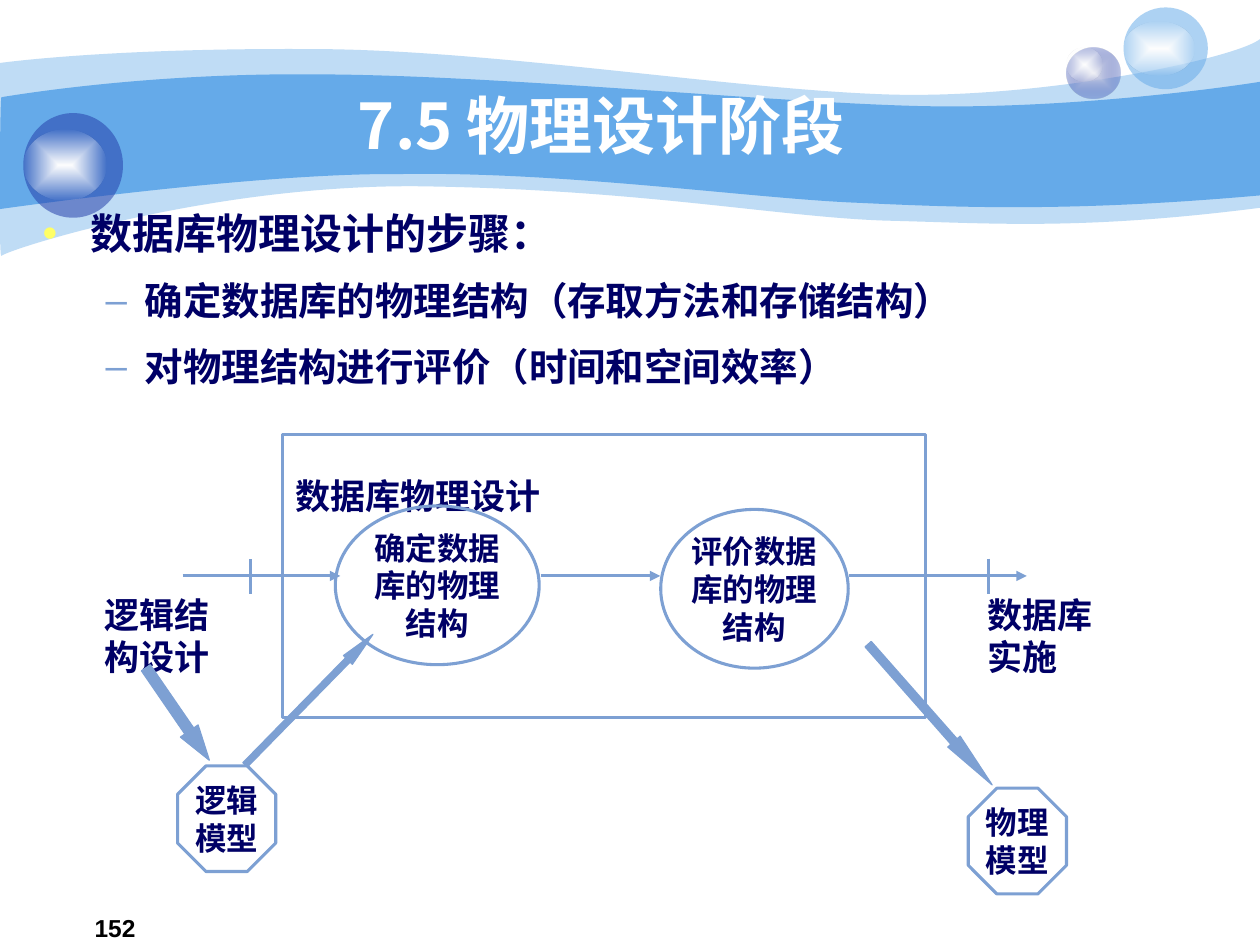
from lxml.etree import SubElement
from pptx import Presentation
from pptx.dml.color import RGBColor
from pptx.enum.shapes import MSO_CONNECTOR, MSO_SHAPE
from pptx.enum.text import MSO_ANCHOR, PP_ALIGN
from pptx.oxml.ns import qn
from pptx.util import Cm, Pt

NAVY, BLUE, SKY, DEEP, WHITE = "000066", "7DA0D3", "65AAE9", "233DA9", "FFFFFF"
SERIF = "Times New Roman"
MID, TOP = MSO_ANCHOR.MIDDLE, MSO_ANCHOR.TOP
CENTER, JUST, LEFT = PP_ALIGN.CENTER, PP_ALIGN.JUSTIFY, PP_ALIGN.LEFT

WAVES = [
    (41,
     [(0, 1.27), (0.61, 1.19), (2.72, 0.97), (6.27, 0.99), (9.8, 0.99), (14.6, 1.78),
      (17.75, 1.9), (20.88, 2.03), (24.89, 1.19), (25.4, 0.79)],
     [(25.4, 4.19), (21.79, 4.65), (19.99, 4.5), (17.91, 4.45), (15.8, 4.39), (13.08, 3.84),
      (8.71, 3.76), (4.37, 3.66), (0.1, 5.05), (0.03, 5.16), (-0.03, 5.28), (0, 1.9), (0, 1.27)]),
    (100,
     [(0.03, 1.96), (0.05, 1.96), (2.79, 1.47), (6.3, 1.5), (9.8, 1.5), (15.11, 2.03),
      (18.24, 2.13), (21.36, 2.24), (24.79, 1.75), (25.4, 1.65)],
     [(25.4, 3.94), (21.67, 4.27), (19.43, 4.19), (17.32, 4.09), (15.21, 4.01), (11.35, 3.45),
      (8.05, 3.51), (5.16, 3.48), (-0.05, 4.22), (-0.03, 4.22), (0, 4.22), (0, 1.96), (0.03, 1.96)]),
]
GLOSS = [(WHITE, 100), (WHITE, 0)]
BALLS = [
    ((21.51, 0.96, 1.07, 1.02), [("E1E2ED", 100), (DEEP, 31)]),
    ((21.51, 0.96, 0.71, 0.69), GLOSS),
    ((22.65, 0.15, 1.7, 1.65), [(SKY, 53)]),
    ((22.65, 0.43, 1.42, 1.09), GLOSS),
    ((0.47, 2.28, 2.01, 2.11), [(DEEP, 53)]),
    ((0.47, 2.62, 1.68, 1.42), GLOSS),
]
STEPS = [
    ("数据库物理设计的步骤：", 24, 0.97, 0.97, 0, "•", "FFFF66"),
    ("确定数据库的物理结构（存取方法和存储结构）", 22, 2.06, 0.79, 11, "–", BLUE),
    ("对物理结构进行评价（时间和空间效率）", 22, 2.06, 0.79, 11, "–", BLUE),
]
FRAME = (5.7, 8.76, 12.95, 5.7)
OVALS = [
    ((6.76, 10.2, 4.11, 3.2), ["确定数据库的物理结构"]),
    ((13.32, 10.27, 3.78, 3.2), ["评价数据库的物理结构"]),
]
MODELS = [
    ((19.52, 15.89, 1.98, 2.13), ["物理", "模型"]),
    ((3.58, 15.44, 1.98, 2.13), ["逻辑", "模型"]),
]
LABELS = [
    ((2.11, 11.96, 3.18, 1.07), ["逻辑结", "构设计"]),
    ((19.91, 11.96, 3.56, 1.07), ["数据库", "实施"]),
]
FLOW = 11.61
FLOWS = [(3.68, 6.86), (10.9, 13.31), (17.12, 20.7)]
TICKS = [(19.92, 11.26), (5.06, 11.27)]
ARROWS = [
    ((2.45, 14.18, 2.26, 0.43), 55.5, 1.66),
    ((16.86, 14.24, 3.78, 0.33), 48.6, 3.52),
    ((4.39, 13.98, 3.68, 0.25), 314.4, 2.87),
]


def tint(code):
    return RGBColor.from_string(code)


def tone(node, code, alpha):
    clr = SubElement(node, qn("a:srgbClr"), val=code)
    if alpha < 100:
        SubElement(clr, qn("a:alpha"), val=str(alpha * 1000))


def paint(shape, stops):
    shape.fill.background()
    node = shape._element.spPr.find(qn("a:noFill"))
    node.tag = qn("a:solidFill" if len(stops) == 1 else "a:gradFill")
    if len(stops) == 1:
        tone(node, *stops[0])
        return
    row = SubElement(node, qn("a:gsLst"))
    for i, stop in enumerate(stops):
        tone(SubElement(row, qn("a:gs"), pos=str(i * 100000)), *stop)
    way = SubElement(node, qn("a:path"), path="shape")
    SubElement(way, qn("a:fillToRect"), {side: "50000" for side in "ltrb"})


def bend(lines):
    for i in range(0, len(lines), 3):
        first, *rest = lines[i:i + 3]
        first.tag = qn("a:cubicBezTo")
        for line in rest:
            first.append(line[0])
            line.getparent().remove(line)


def wave(slide, alpha, top, base):
    pts = [(Cm(x), Cm(y)) for x, y in top + base]
    form = slide.shapes.build_freeform(*pts[0])
    form.add_line_segments(pts[1:], close=False)
    shape = form.convert_to_shape()
    lines = list(shape._element.iter(qn("a:lnTo")))
    SubElement(lines[0].getparent(), qn("a:close"))
    side = len(top) - 1
    bend(lines[:side])
    bend(lines[side + 1:])
    shape.shadow.inherit = False
    shape.line.fill.background()
    paint(shape, [(SKY, alpha)])


def draw(slide, kind, box, width=0):
    shape = slide.shapes.add_shape(kind, *map(Cm, box))
    shape.shadow.inherit = False
    shape.fill.background()
    if width:
        shape.line.color.rgb = tint(BLUE)
        shape.line.width = Pt(width)
    else:
        shape.line.fill.background()
    return shape


def write(par, text, size, face, code):
    run = par.add_run()
    run.text = text
    font = run.font
    font.size, font.name, font.bold = Pt(size), face, True
    font.color.rgb = tint(code)


def fill(shape, lines, size, face=SERIF, code=NAVY, align=CENTER, anchor=MID, pad=(0, 0)):
    frame = shape.text_frame
    frame.word_wrap = True
    frame.vertical_anchor = anchor
    frame.margin_left = frame.margin_right = Cm(pad[0])
    frame.margin_top = frame.margin_bottom = Cm(pad[1])
    for i, text in enumerate(lines):
        par = frame.add_paragraph() if i else frame.paragraphs[0]
        par.alignment = align
        write(par, text, size, face, code)
    return frame


def note(slide, box):
    return slide.shapes.add_textbox(*map(Cm, box))


def link(slide, x1, y1, x2, y2, head=False):
    line = slide.shapes.add_connector(MSO_CONNECTOR.STRAIGHT, Cm(x1), Cm(y1), Cm(x2), Cm(y2))
    line.line.color.rgb = tint(BLUE)
    line.line.width = Pt(1.75)
    if head:
        SubElement(line.line._get_or_add_ln(), qn("a:tailEnd"), type="triangle")
    SubElement(line._element.spPr, qn("a:effectLst"))


def steps(slide):
    frame = fill(note(slide, (0.61, 4.06, 23.93, 4.65)), [], 24, anchor=TOP, pad=(0.25, 0.13))
    for i, (text, size, left, hang, gap, mark, code) in enumerate(STEPS):
        par = frame.add_paragraph() if i else frame.paragraphs[0]
        prop = par._p.get_or_add_pPr()
        prop.set("marL", str(Cm(left)))
        prop.set("indent", str(-Cm(hang)))
        if i:
            prop.set("lvl", "1")
        tone(SubElement(prop, qn("a:buClr")), code, 100)
        SubElement(prop, qn("a:buFont"), typeface="Arial")
        SubElement(prop, qn("a:buChar"), char=mark)
        par.alignment = LEFT
        if gap:
            par.space_before = Pt(gap)
        write(par, text, size, "Cabin", NAVY)


def main():
    deck = Presentation()
    deck.slide_width, deck.slide_height = Cm(25.4), Cm(19.05)
    slide = deck.slides.add_slide(deck.slide_layouts[6])
    for item in WAVES:
        wave(slide, *item)
    for box, stops in BALLS:
        paint(draw(slide, MSO_SHAPE.OVAL, box), stops)
    fill(note(slide, (1.85, 1.66, 20.55, 1.7)), ["7.5 物理设计阶段"], 36,
         "Noto Sans CJK SC", WHITE, pad=(0.25, 0.13))
    steps(slide)

    frame = fill(draw(slide, MSO_SHAPE.RECTANGLE, FRAME, 1.75), ["数据库物理设计"], 20,
                 align=JUST, anchor=TOP, pad=(0.25, 0.13))
    frame.paragraphs[0].line_spacing = 1.8
    for box, lines in OVALS:
        fill(draw(slide, MSO_SHAPE.OVAL, box, 1.75), lines, 18)
    for x1, x2 in FLOWS:
        link(slide, x1, FLOW, x2, FLOW, True)
    for x, y in TICKS:
        link(slide, x, y, x, y + 0.71)
    for box, lines in LABELS:
        fill(note(slide, box), lines, 20, align=JUST, anchor=TOP)
    for box, turn, tip in ARROWS:
        shape = draw(slide, MSO_SHAPE.RIGHT_ARROW, box, 0.75)
        paint(shape, [(BLUE, 100)])
        shape.adjustments[1] = tip
        shape.rotation = turn
    for box, lines in MODELS:
        shape = draw(slide, MSO_SHAPE.OCTAGON, box, 1.75)
        shape.adjustments[0] = 0.29
        fill(shape, lines, 18)
    frame = fill(note(slide, (0.25, 17.83, 4.14, 0.89)), ["152"], 14, "Arial", "000000",
                 anchor=TOP, pad=(0.25, 0.13))
    frame.margin_top = Cm(0.7)
    deck.save("out.pptx")


if __name__ == "__main__":
    main()
